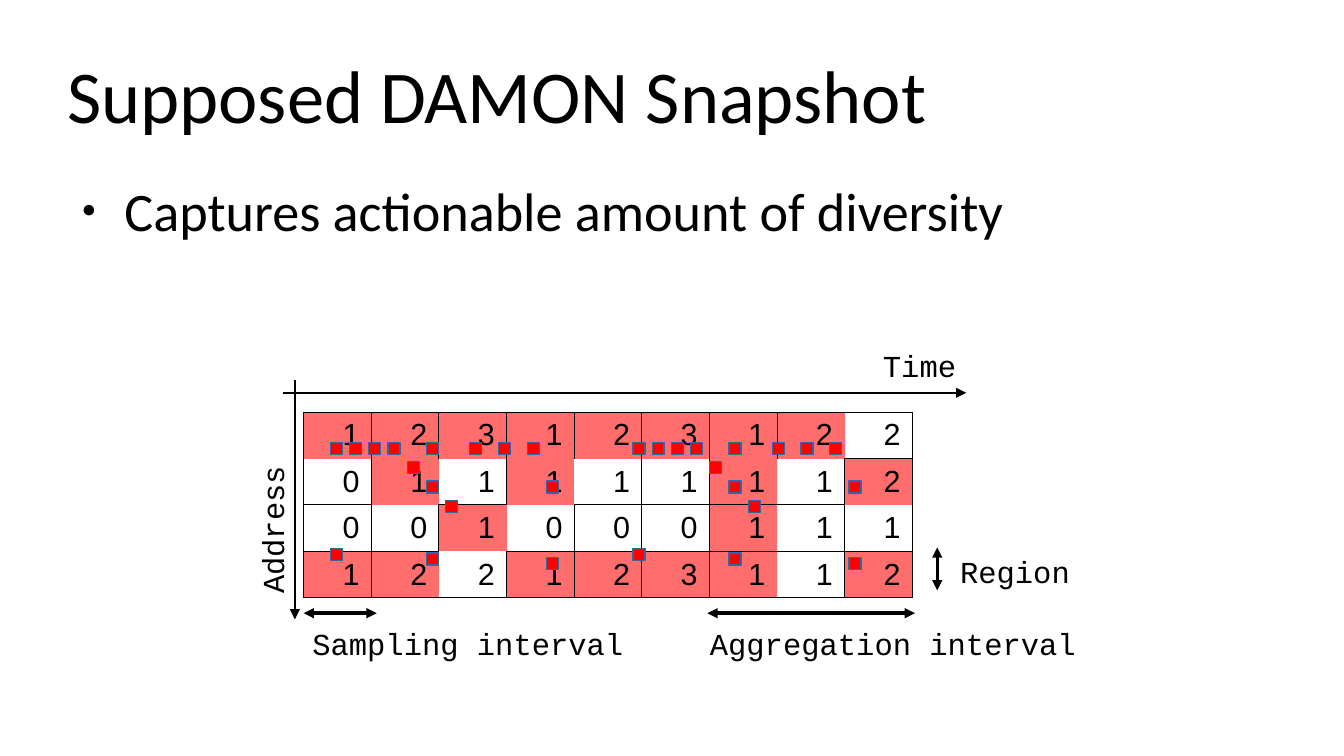
from dataclasses import dataclass

from lxml import etree
from pptx import Presentation
from pptx.dml.color import RGBColor
from pptx.enum.shapes import MSO_CONNECTOR, MSO_SHAPE
from pptx.enum.text import MSO_ANCHOR, MSO_AUTO_SIZE, PP_ALIGN
from pptx.oxml.ns import qn
from pptx.util import Cm, Inches, Pt

STRAIGHT, RECTANGLE = MSO_CONNECTOR.STRAIGHT, MSO_SHAPE.RECTANGLE
LEFT, TOP, MIDDLE = PP_ALIGN.LEFT, MSO_ANCHOR.TOP, MSO_ANCHOR.MIDDLE
NO_FIT = MSO_AUTO_SIZE.NONE

COLORS = {"ink": "000000", "hot": "FF6D6D", "access": "FF0000", "access_edge": "3465A4"}
HEADING_FONT, COUNT_FONT, LABEL_FONT = "Calibri", "Arial", "Courier New"

# Access counts per region (rows) and sampling interval (columns)
COUNTS = ["123123122", "011111112", "001000111", "122123112"]
HOT = ["########.", ".#.#..#.#", "..#...#..", "##.####.#"]
# Drawn sides of each cell: l, r, t, b; "-" for none
BORDERS = [
    "lrtb lrtb lrtb lrtb lrtb lrtb lrtb lrtb rt",
    "lb lrb - lrb rb lb lrb b lrtb",
    "lrt l lrtb r lrt lt lrtb rtb lr",
    "lrtb lrtb b lrtb lrtb ltb lrtb tb lrtb",
]

# Grid of the heat map
GRID_X, GRID_Y = Inches(2.49), Inches(3.38)
COLUMN, ROW = Inches(4.99) // len(COUNTS[0]), Inches(0.36)

# Accesses in steps from the first one; the pattern is seen twice
STEP, ACCESS_SIZE = Cm(0.4), Cm(0.25)
ACCESS_X, ACCESS_Y = Inches(2.71), Inches(3.63)
PERIOD = 15.75
ACCESSES = [(step, 0) for step in (0, 1, 2, 3, 5, 7.25, 8.75, 10.25)] + [
    (4, 1), (5, 2), (6, 3), (11.25, 2), (0, 5.5), (5, 5.75), (11.25, 6)]


@dataclass
class Arrow:
    """Ends in grid columns and rows."""
    start: tuple[float, float]
    end: tuple[float, float]
    width: float = 0
    both_ends: bool = True


@dataclass
class Label:
    """Place and size in grid columns and rows."""
    text: str
    column: float
    row: float
    columns: float
    rows: float = 1.06
    rotation: int = 0


ARROWS = [
    Arrow((-0.13, -0.72), (-0.13, 4.72), 1.5, False),
    Arrow((-0.31, -0.44), (9.8, -0.44), 1.5, False),
    Arrow((5.97, 4.58), (9.04, 4.58)),
    Arrow((9.37, 3.08), (9.37, 4.06)),
    Arrow((0, 4.58), (1.08, 4.58)),
]
LABELS = [
    Label("Time", 8.39, -1.61, 1.44, 1.22),
    Label("Address", -1.46, 1.58, 2.47, 1.86, 270),
    Label("Aggregation interval", 5.83, 4.72, 5.78),
    Label("Region", 9.53, 3.08, 1.99),
    Label("Sampling interval", -0.05, 4.72, 4.96),
]


def rgb(name: str) -> RGBColor:
    return RGBColor.from_string(COLORS[name])


def grid_point(column: float, row: float) -> tuple[int, int]:
    return round(GRID_X + column * COLUMN), round(GRID_Y + row * ROW)


def write(frame, text: str, *, font: str, size: float, align=LEFT):
    paragraph = frame.paragraphs[0]
    paragraph.alignment = align
    run = paragraph.add_run()
    run.text = text
    run.font.name, run.font.size = font, Pt(size)
    run.font.color.rgb = rgb("ink")
    return paragraph


def fill_placeholder(holder, text: str, size: float, top: float, height: float, anchor):
    holder.left, holder.top = Inches(0.55), Inches(top)
    holder.width, holder.height = Inches(9.92), Inches(height)
    frame = holder.text_frame
    frame.margin_left = frame.margin_right = frame.margin_top = frame.margin_bottom = 0
    frame.auto_size, frame.vertical_anchor = NO_FIT, anchor
    return write(frame, text, font=HEADING_FONT, size=size)


def add_bullet(paragraph) -> None:
    properties = paragraph._p.get_or_add_pPr()
    properties.set("marL", str(Inches(0.47)))
    properties.set("indent", str(-Inches(0.35)))
    color = etree.SubElement(properties, qn("a:buClr"))
    etree.SubElement(color, qn("a:srgbClr"), val=COLORS["ink"])
    etree.SubElement(properties, qn("a:buSzPct"), val="45000")
    etree.SubElement(properties, qn("a:buFont"), typeface=COUNT_FONT)
    etree.SubElement(properties, qn("a:buChar"), char="●")


def set_borders(cell, sides: str) -> None:
    properties = cell._tc.get_or_add_tcPr()
    for index, side in enumerate("lrtb"):
        border = etree.Element(qn(f"a:ln{side.upper()}"), w=str(Pt(0.57)))
        if side in sides:
            fill = etree.SubElement(border, qn("a:solidFill"))
            etree.SubElement(fill, qn("a:srgbClr"), val=COLORS["ink"])
        else:
            etree.SubElement(border, qn("a:noFill"))
        properties.insert(index, border)


def add_heat_map(shapes) -> None:
    rows, columns = len(COUNTS), len(COUNTS[0])
    table = shapes.add_table(rows, columns, GRID_X, GRID_Y,
                             columns * COLUMN, rows * ROW).table
    table.first_row = table.horz_banding = False
    for row, (counts, hot, borders) in enumerate(zip(COUNTS, HOT, BORDERS)):
        for column, (count, mark, sides) in enumerate(zip(counts, hot, borders.split())):
            cell = table.cell(row, column)
            cell.margin_left, cell.margin_right = Inches(0.32), Inches(0.04)
            cell.margin_top = cell.margin_bottom = Inches(0.05)
            write(cell.text_frame, count, font=COUNT_FONT, size=18)
            if mark == "#":
                cell.fill.solid()
                cell.fill.fore_color.rgb = rgb("hot")
            else:
                cell.fill.background()
            set_borders(cell, sides)


def add_access(shapes, across: float, down: float) -> None:
    access = shapes.add_shape(RECTANGLE, round(ACCESS_X + across * STEP),
                              round(ACCESS_Y + down * STEP), ACCESS_SIZE, ACCESS_SIZE)
    access.shadow.inherit = False
    access.fill.solid()
    access.fill.fore_color.rgb = rgb("access")
    access.line.color.rgb = rgb("access_edge")
    access.line.width = 0


def add_arrow(shapes, arrow: Arrow) -> None:
    connector = shapes.add_connector(STRAIGHT, *grid_point(*arrow.start),
                                     *grid_point(*arrow.end))
    connector.line.color.rgb = rgb("ink")
    connector.line.width = Pt(arrow.width)
    line = connector.line._get_or_add_ln()
    for end in ("headEnd", "tailEnd") if arrow.both_ends else ("tailEnd",):
        etree.SubElement(line, qn(f"a:{end}"), type="triangle")
    etree.SubElement(connector._element.spPr, qn("a:effectLst"))


def add_label(shapes, label: Label) -> None:
    box = shapes.add_textbox(*grid_point(label.column, label.row),
                             round(label.columns * COLUMN), round(label.rows * ROW))
    box.rotation = label.rotation
    box.text_frame.word_wrap = bool(label.rotation)
    write(box.text_frame, label.text, font=LABEL_FONT, size=18)


def main() -> None:
    deck = Presentation()
    deck.slide_width, deck.slide_height = Inches(11.02), Inches(6.2)
    slide = deck.slides.add_slide(deck.slide_layouts[1])
    shapes = slide.shapes

    # Heading and message
    fill_placeholder(shapes.title, "Supposed DAMON Snapshot", 44, 0.25, 1.04, MIDDLE)
    message = fill_placeholder(slide.placeholders[1],
                               "Captures actionable amount of diversity", 32, 1.45, 3.6, TOP)
    message.space_before = Pt(14.2)
    add_bullet(message)

    # Heat map with its accesses, axes and labels
    add_heat_map(shapes)
    for shift in (0, PERIOD):
        for across, down in ACCESSES:
            add_access(shapes, across + shift, down)
    for arrow in ARROWS:
        add_arrow(shapes, arrow)
    for label in LABELS:
        add_label(shapes, label)

    deck.save("out.pptx")


if __name__ == "__main__":
    main()
